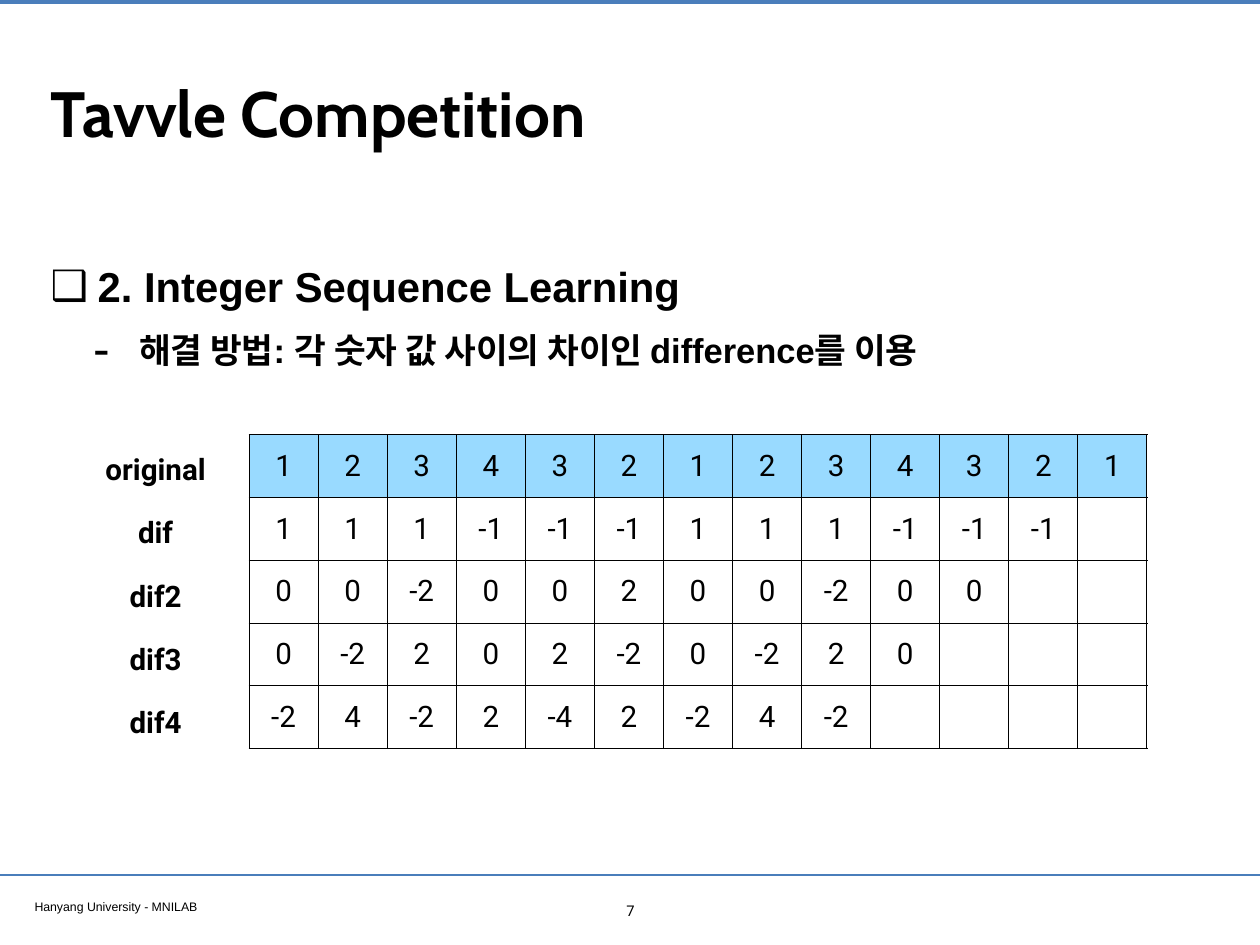
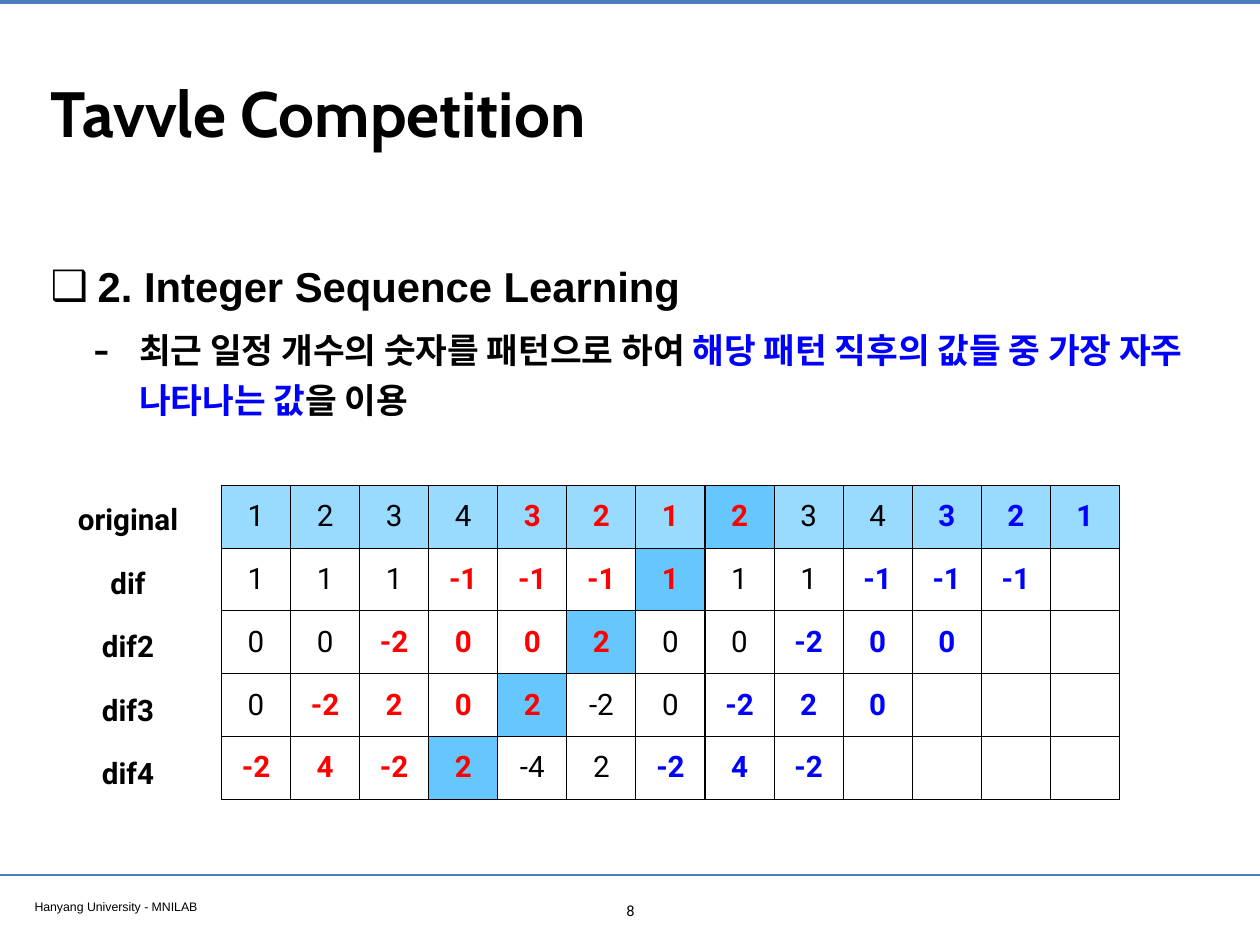
from itertools import pairwise

from lxml import etree
from pptx import Presentation
from pptx.dml.color import RGBColor
from pptx.enum.shapes import MSO_CONNECTOR
from pptx.enum.text import MSO_ANCHOR, PP_ALIGN
from pptx.oxml.ns import qn
from pptx.util import Cm, Pt

LEFT, CENTER = PP_ALIGN.LEFT, PP_ALIGN.CENTER
TOP, MIDDLE = MSO_ANCHOR.TOP, MSO_ANCHOR.MIDDLE
STRAIGHT = MSO_CONNECTOR.STRAIGHT

BLACK = RGBColor(0x00, 0x00, 0x00)
RED = RGBColor(0xFF, 0x00, 0x00)
BLUE = RGBColor(0x00, 0x00, 0xFF)
RULE = RGBColor(0x4A, 0x7E, 0xBB)
PALE = RGBColor(0x99, 0xDA, 0xFF)
DEEP = RGBColor(0x66, 0xC7, 0xFF)

WIDTH, HEIGHT = 36.12, 27.1
COL, ROW = 1.98, 1.8
LABELS = [("original", 3.38), ("dif", 1.37), ("dif2", 1.88),
          ("dif3", 1.88), ("dif4", 1.88)]


class Deck:
    """Holds the shared style and the current slide."""

    def __init__(self):
        self.prs = Presentation()
        self.prs.slide_width = Cm(WIDTH)
        self.prs.slide_height = Cm(HEIGHT)
        self.slide = None

    def page(self, title, number):
        self.slide = self.prs.slides.add_slide(self.prs.slide_layouts[5])
        # Top and bottom rules
        self.line(0.05, 3.2)
        self.line(25.1, 2)
        # Title
        head = self.slide.shapes.title
        head.left, head.top = Cm(1.3), Cm(0.7)
        head.width, head.height = Cm(33.55), Cm(5)
        self.frame(head, MIDDLE)
        self.put(head.text_frame.paragraphs[0], title, 52, "Cabin", bold=True)
        # Footer and page number
        self.text(0.84, 25.63, 13.87, 0.66, "Hanyang University - MNILAB", 10, "Arial")
        self.text(17.58, 25.7, 0.99, 0.79, str(number), 12, "Roboto", CENTER)

    def line(self, top, width):
        rule = self.slide.shapes.add_connector(
            STRAIGHT, Cm(0), Cm(top), Cm(WIDTH), Cm(top))
        rule.line.color.rgb = RULE
        rule.line.width = Pt(width)
        etree.SubElement(rule._element.spPr, qn("a:effectLst"))

    def frame(self, shape, anchor=TOP, wrap=True):
        frame = shape.text_frame
        frame.word_wrap = wrap
        frame.vertical_anchor = anchor
        frame.margin_left = frame.margin_right = Cm(0.15)
        frame.margin_top = frame.margin_bottom = Cm(0.15)
        return frame

    def put(self, para, text, size, font, align=LEFT, color=BLACK, bold=False):
        para.alignment = align
        run = para.add_run()
        run.text = text
        run.font.size = Pt(size)
        run.font.name = font
        run.font.bold = bold
        run.font.color.rgb = color

    def text(self, left, top, width, height, text, size, font,
             align=LEFT, bold=False, anchor=TOP, wrap=True):
        box = self.slide.shapes.add_textbox(Cm(left), Cm(top), Cm(width), Cm(height))
        frame = self.frame(box, anchor, wrap)
        self.put(frame.paragraphs[0], text, size, font, align, bold=bold)

    def bullet(self, para, mark, left, hang, scale=100):
        props = para._p.get_or_add_pPr()
        props.set("marL", str(Cm(left)))
        props.set("indent", str(-Cm(hang)))
        etree.SubElement(props, qn("a:buSzPct"), val=str(scale * 1000))
        etree.SubElement(props, qn("a:buFont"), typeface="Arial")
        etree.SubElement(props, qn("a:buChar"), char=mark)
        para.line_spacing = 1.2

    def body(self, height, head, parts):
        box = self.slide.shapes.add_textbox(Cm(1.3), Cm(7.04), Cm(32.87), Cm(height))
        frame = self.frame(box)
        first = frame.paragraphs[0]
        self.bullet(first, "❑", 1.35, 1.35)
        self.put(first, head, 34, "Arial", bold=True)
        point = frame.add_paragraph()
        point.level = 1
        self.bullet(point, "-", 2.54, 1.32, 145)
        point.space_before = Pt(8)
        for text, color in parts:
            self.put(point, text, 28, "Arial", color=color, bold=True)

    def border(self, cell):
        props = cell._tc.get_or_add_tcPr()
        for side in ("a:lnL", "a:lnR", "a:lnT", "a:lnB"):
            edge = etree.SubElement(props, qn(side), w=str(Pt(1)))
            fill = etree.SubElement(edge, qn("a:solidFill"))
            etree.SubElement(fill, qn("a:srgbClr"), val=str(BLACK))

    def grid(self, left, top, rows, marked):
        count = len(rows[0])
        table = self.slide.shapes.add_table(
            len(rows), count, Cm(left), Cm(top),
            Cm(COL * count), Cm(ROW * len(rows))).table
        table.first_row = table.horz_banding = False
        for col in table.columns:
            col.width = Cm(COL)
        for r, values in enumerate(rows):
            table.rows[r].height = Cm(ROW)
            for c in range(count):
                cell = table.cell(r, c)
                cell.vertical_anchor = MIDDLE
                self.border(cell)
                color, fill = style(r, c, marked)
                if fill is None:
                    cell.fill.background()
                else:
                    cell.fill.solid()
                    cell.fill.fore_color.rgb = fill
                if c < len(values):
                    self.put(cell.text_frame.paragraphs[0], str(values[c]), 24,
                             "Roboto", CENTER, color, color != BLACK)
        # Row labels, centred on one axis left of the table
        for r, (name, width) in enumerate(LABELS):
            self.text(left - 2.68 - width / 2, top + 0.3 + 1.82 * r, width, 1.32,
                      name, 24, "Roboto", CENTER, True, MIDDLE, False)


def style(row, col, marked):
    """Text colour and fill: each pattern moves one column left per row."""
    fill = PALE if row == 0 else None
    place = row + col
    if marked and 4 <= place <= 7:
        return RED, DEEP if place == 7 else fill
    if marked and 10 <= place <= 12:
        return BLUE, fill
    return BLACK, fill


def main():
    # The sequence and its repeated differences
    rows = [[1, 2, 3, 4, 3, 2, 1, 2, 3, 4, 3, 2, 1]]
    while len(rows) < len(LABELS):
        rows.append([b - a for a, b in pairwise(rows[-1])])

    title, head = "Tavvle Competition", "2. Integer Sequence Learning"
    deck = Deck()

    # Method: differences
    deck.page(title, 7)
    deck.body(4.7, head, [
        ("해결 방법: 각 숫자 값 사이의 차이인 difference를 이용", BLACK)])
    deck.grid(7.14, 12.47, rows, False)

    # Method: most frequent value after the pattern
    deck.page(title, 8)
    deck.body(6.32, head, [
        ("최근 일정 개수의 숫자를 패턴으로 하여 ", BLACK),
        ("해당 패턴 직후의 값들 중 가장 자주 나타나는 값", BLUE),
        ("을 이용", BLACK)])
    deck.grid(6.35, 13.92, rows, True)

    deck.prs.save("out.pptx")


if __name__ == "__main__":
    main()
